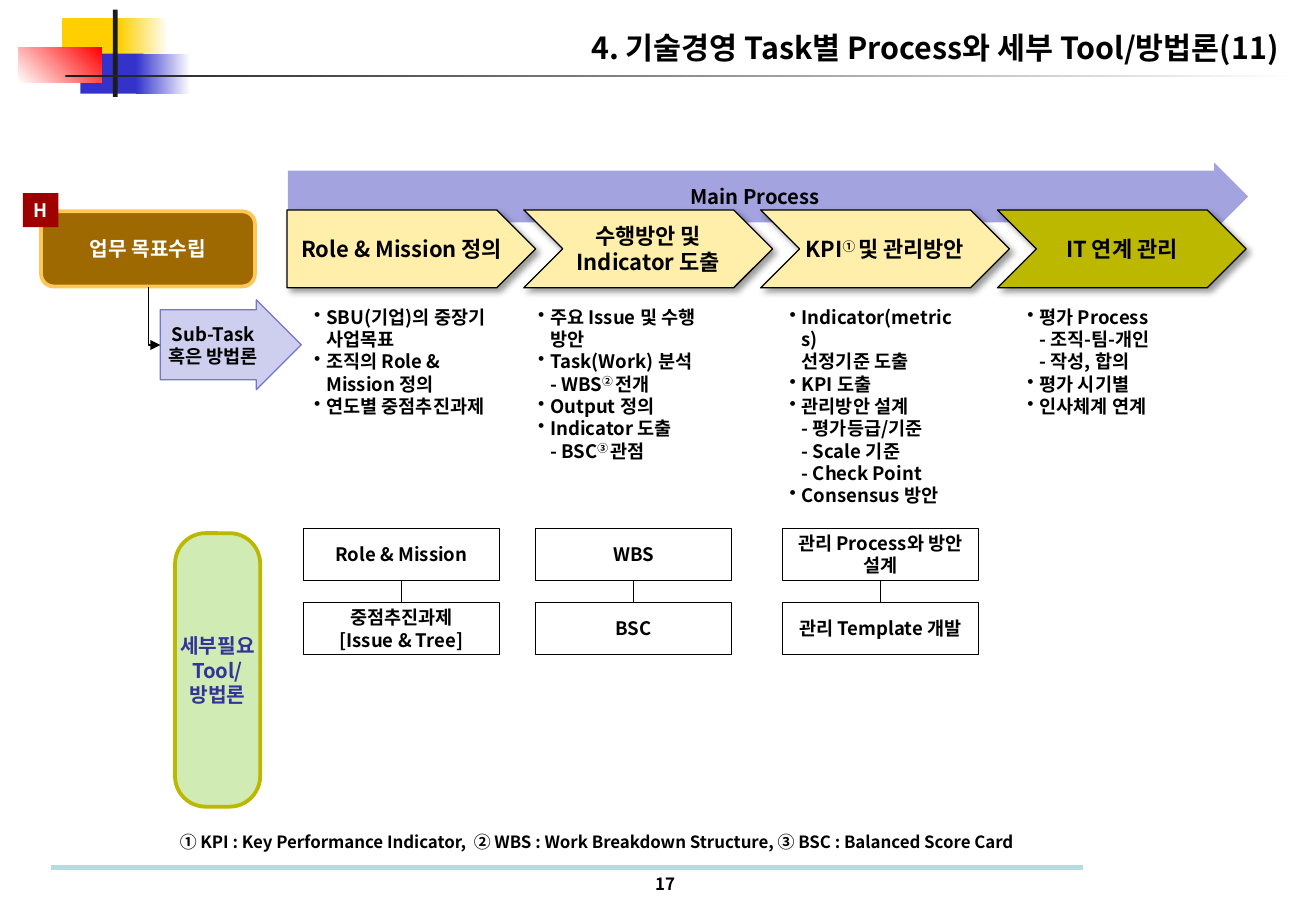
from lxml import etree
from pptx import Presentation
from pptx.dml.color import RGBColor
from pptx.enum.shapes import MSO_CONNECTOR, MSO_SHAPE
from pptx.enum.text import MSO_ANCHOR, PP_ALIGN
from pptx.oxml.ns import qn
from pptx.util import Cm, Pt

RECT, ROUND = MSO_SHAPE.RECTANGLE, MSO_SHAPE.ROUNDED_RECTANGLE
ARROW, PLATE, CHEVRON = MSO_SHAPE.RIGHT_ARROW, MSO_SHAPE.PENTAGON, MSO_SHAPE.CHEVRON
STRAIGHT, ELBOW = MSO_CONNECTOR.STRAIGHT, MSO_CONNECTOR.ELBOW
LEFT, CENTER, RIGHT = PP_ALIGN.LEFT, PP_ALIGN.CENTER, PP_ALIGN.RIGHT
TOP, MIDDLE = MSO_ANCHOR.TOP, MSO_ANCHOR.MIDDLE

FONT = "Noto Sans CJK KR"
BLACK, WHITE = RGBColor(0, 0, 0), RGBColor(255, 255, 255)
INK = RGBColor(0x1C, 0x1C, 0x1C)
GOLD, BLUE, RED = RGBColor(0xFF, 0xCF, 0x01), RGBColor(0x33, 0x33, 0xCC), RGBColor(0xFF, 0, 0)
AQUA, VIOLET = RGBColor(0xB6, 0xDC, 0xDF), RGBColor(0xA3, 0xA3, 0xE0)
LILAC, LILAC_EDGE = RGBColor(0xCE, 0xCE, 0xEF), RGBColor(0x75, 0x75, 0xD1)
CREAM, OLIVE = RGBColor(0xFF, 0xEF, 0xAB), RGBColor(0xBC, 0xB8, 0x00)
BROWN, AMBER = RGBColor(0x9E, 0x69, 0), RGBColor(0xFF, 0xC7, 0x57)
GREEN, NAVY, MAROON = RGBColor(0xD0, 0xEB, 0xB3), RGBColor(0x33, 0x33, 0x99), RGBColor(0x9E, 0, 0)

TITLE = "4. 기술경영 Task별 Process와 세부 Tool/방법론(11)"
FOOTNOTE = "① KPI : Key Performance Indicator,  ② WBS : Work Breakdown Structure, ③ BSC : Balanced Score Card"
DECORATION = [
    ((1.3, 0.38, 1.37, 0.84), GOLD, None, 0),
    ((2.49, 0.38, 1.04, 0.84), GOLD, WHITE, 0),
    ((1.68, 1.12, 1.32, 0.84), BLUE, None, 0),
    ((2.84, 1.12, 1.14, 0.84), BLUE, WHITE, 0),
    ((0.38, 0.99, 1.75, 0.74), WHITE, RED, 45),
    ((2.36, 0.2, 0.1, 1.83), INK, None, 0),
    ((1.37, 1.57, 25.76, 0.05), INK, WHITE, 0),
]
STEPS = [
    (PLATE, CREAM, ["Role & Mission 정의"]),
    (CHEVRON, CREAM, ["수행방안 및", "Indicator 도출"]),
    (CHEVRON, CREAM, ["KPI|① |및 관리방안"]),
    (CHEVRON, OLIVE, ["IT 연계 관리"]),
]
SUB_TASKS = [
    (6.32, 4.45, 2.62, ["SBU(기업)의 중장기\n사업목표", "조직의 Role & \nMission 정의", "연도별 중점추진과제"]),
    (11, 4.09, 3.56, ["주요 Issue 및 수행\n방안", "Task(Work) 분석\n- WBS|② |전개",
                      "Output 정의", "Indicator 도출\n- BSC|③ |관점"]),
    (16.26, 4.06, 4.01, ["Indicator(metrics)\n선정기준 도출", "KPI 도출",
                         "관리방안 설계\n- 평가등급/기준\n- Scale 기준\n- Check Point", "Consensus 방안"]),
    (21.23, 3.35, 2.62, ["평가 Process\n- 조직-팀-개인\n- 작성, 합의", "평가 시기별", "인사체계 연계"]),
]
TOOLS = [
    (6.35, ["Role & Mission"], ["중점추진과제", "[Issue & Tree]"]),
    (11.2, ["WBS"], ["BSC"]),
    (16.36, ["관리 Process와 방안", "설계"], ["관리 Template 개발"]),
]

deck = Presentation()
deck.slide_width, deck.slide_height = Cm(27.51), Cm(19.05)
page = deck.slides.add_slide(deck.slide_layouts[5])


def write(frame, lines, size, color=BLACK, align=CENTER, anchor=MIDDLE, bullet=False):
    frame.vertical_anchor = anchor
    for index, line in enumerate(lines):
        para = frame.paragraphs[0] if index == 0 else frame.add_paragraph()
        para.alignment = align
        para.line_spacing = Pt(round(size * 1.2, 1))
        para.space_before = Pt(0)
        if bullet:
            properties = para._p.get_or_add_pPr()
            properties.set("marL", str(Cm(0.25)))
            properties.set("indent", str(-Cm(0.25)))
            etree.SubElement(properties, qn("a:buChar")).set("char", "•")
        for part_index, part in enumerate(line.split("|")):
            for row_index, row in enumerate(part.split("\n")):
                if row_index:
                    para.add_line_break()
                span = para.add_run()
                span.text = row
                span.font.size, span.font.bold, span.font.name = Pt(size), True, FONT
                span.font.color.rgb = color
                span_properties = span._r.get_or_add_rPr()
                etree.SubElement(span_properties, qn("a:ea")).set("typeface", FONT)
                if part_index % 2:
                    span_properties.set("baseline", "30000")


def add_block(kind, place, fill, edge=None, width=0.75, lines=(), size=11, color=BLACK):
    block = page.shapes.add_shape(kind, *map(Cm, place))
    block.shadow.inherit = False
    block.fill.solid()
    block.fill.fore_color.rgb = fill
    if edge is None:
        block.line.fill.background()
    else:
        block.line.color.rgb = edge
        block.line.width = Pt(width)
    frame = block.text_frame
    frame.margin_left = frame.margin_right = frame.margin_top = frame.margin_bottom = 0
    frame.word_wrap = False
    if lines:
        write(frame, lines, size, color)
    return block


def add_text(place, lines, size, **options):
    frame = page.shapes.add_textbox(*map(Cm, place)).text_frame
    frame.word_wrap = True
    write(frame, lines, size, anchor=TOP, **options)


def add_line(kind, ends, color=BLACK, width=0.75):
    line = page.shapes.add_connector(kind, *map(Cm, ends))
    line.line.color.rgb = color
    line.line.width = Pt(width)
    etree.SubElement(line._element.spPr, qn("a:effectLst"))
    return line


def add_drop_shadow(block):
    effects = block._element.spPr.find(qn("a:effectLst"))
    shadow = etree.SubElement(effects, qn("a:outerShdw"), blurRad=str(Pt(4)), dist=str(Pt(3)),
                              dir="2700000", algn="tl", rotWithShape="0")
    tone = etree.SubElement(shadow, qn("a:srgbClr"), val="000000")
    etree.SubElement(tone, qn("a:alpha"), val="40000")


for place, start, end, angle in DECORATION:
    bar = add_block(RECT, place, start)
    if end is not None:
        bar.fill.gradient()
        bar.fill.gradient_angle = angle
        for stop, position, tone in zip(bar.fill.gradient_stops, (0, 1), (start, end)):
            stop.position = position
            stop.color.rgb = tone
add_line(STRAIGHT, (1.07, 18.14, 22.63, 18.14), AQUA, 3.5)

title = page.shapes.title
title.left, title.top, title.width, title.height = map(Cm, (11.23, 0.48, 15.75, 1.02))
title.text_frame.word_wrap = True
write(title.text_frame, [TITLE], 18, align=RIGHT, anchor=TOP)

main_arrow = add_block(ARROW, (6.02, 3.4, 20.07, 1.42), VIOLET, lines=["Main Process"], size=12)
main_arrow.adjustments[0] = 0.76
for index, (kind, fill, lines) in enumerate(STEPS):
    add_drop_shadow(add_block(kind, (6 + 4.95 * index, 4.39, 5.2, 1.63), fill, BLACK,
                              lines=lines, size=13))

add_block(ROUND, (0.86, 4.42, 4.47, 1.57), BROWN, AMBER, 2.25, ["업무 목표수립"], 12, WHITE)
add_block(RECT, (0.48, 4.04, 0.74, 0.71), MAROON, lines=["H"], color=WHITE)
sub_task = add_block(ARROW, (3.35, 6.27, 2.95, 1.88), LILAC, LILAC_EDGE,
                     lines=["Sub-Task", "혹은 방법론"])
sub_task.adjustments[0] = 0.78

elbow = add_line(ELBOW, (3.84, 6.48, 2.62, 6.73))
elbow_properties = elbow._element.spPr
elbow_properties.find(qn("a:xfrm")).set("rot", "16200000")
elbow_properties.find(qn("a:prstGeom")).set("prst", "bentConnector2")
etree.SubElement(elbow_properties.find(qn("a:ln")), qn("a:tailEnd"), type="triangle")

for left, width, height, lines in SUB_TASKS:
    add_text((left, 6.27, width, height), lines, 11, align=LEFT, bullet=True)

tool_label = add_block(ROUND, (3.66, 11.15, 1.78, 5.72), GREEN, OLIVE, 2.25,
                       ["세부필요", "Tool/", "방법론"], 12, NAVY)
tool_label.adjustments[0] = 0.36
for left, *pair in TOOLS:
    upper, lower = [add_block(RECT, (left, top, 4.09, 1.09), WHITE, BLACK, lines=lines)
                    for top, lines in zip((11.05, 12.6), pair)]
    link = add_line(STRAIGHT, (left, 12.14, left, 12.6))
    link.begin_connect(upper, 2)
    link.end_connect(lower, 0)

add_text((3.51, 17.27, 18.19, 0.69), [FOOTNOTE], 10, align=LEFT)
add_text((13.41, 18.14, 0.99, 0.69), ["17"], 10, align=CENTER)

deck.save("out.pptx")
